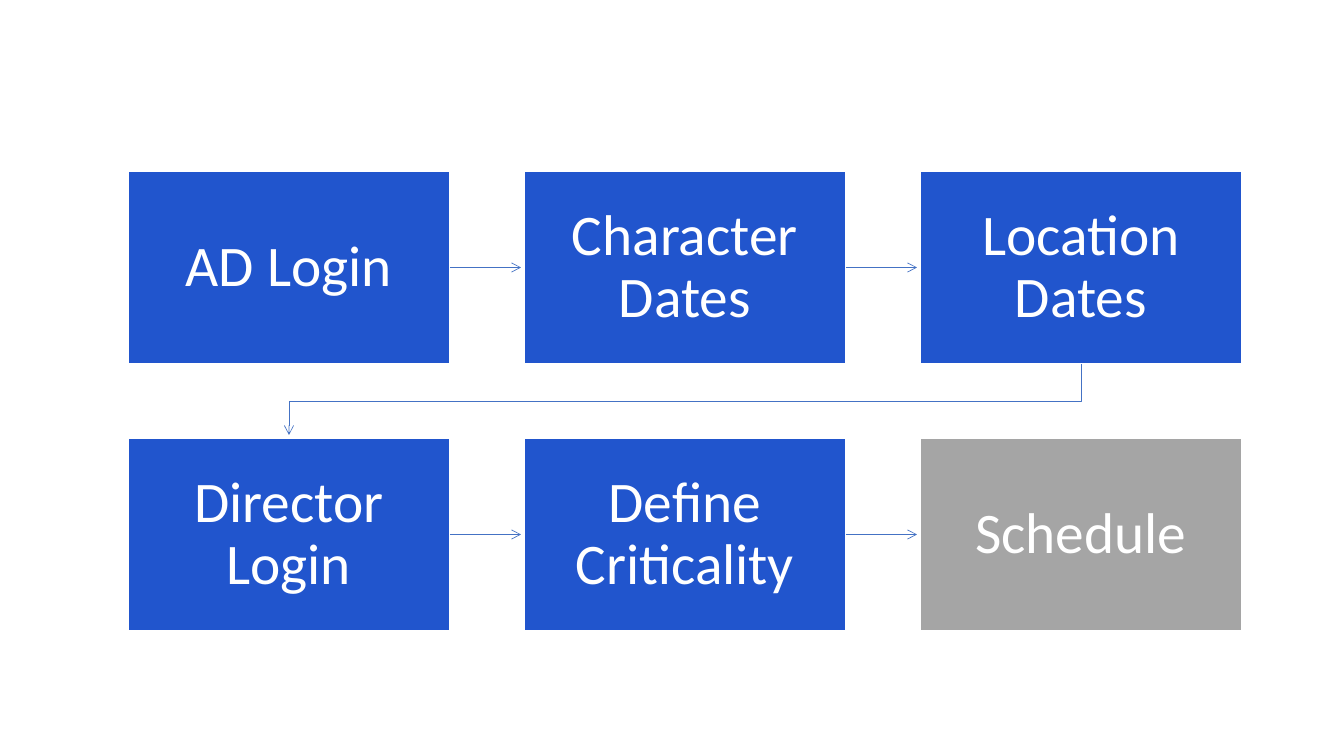
from lxml.etree import SubElement
from pptx import Presentation
from pptx.dml.color import RGBColor
from pptx.enum.shapes import MSO_CONNECTOR, MSO_SHAPE
from pptx.enum.text import MSO_ANCHOR, PP_ALIGN
from pptx.oxml.ns import qn
from pptx.util import Pt

SCALE = 914400 / 100.8  # EMU per px


def px(n):
    return round(n * SCALE)


def style_arrow(arrow):
    """Give a thin blue line an open arrowhead at its end and no shadow."""
    arrow.line.color.rgb = RGBColor.from_string("4472C4")
    arrow.line.width = Pt(0.5)
    SubElement(arrow.line._get_or_add_ln(), qn("a:tailEnd"), type="arrow")
    SubElement(arrow._element.spPr, qn("a:effectLst"))


LEFT, TOP = 128, 171
BOX_W, BOX_H = 322, 193
STEP_X, STEP_Y = 396, 267
ARROW = 71  # shorter than the gap between boxes
BLUE, GRAY = "2155CD", "A5A5A5"

steps = [
    [("AD Login", BLUE), ("Character Dates", BLUE), ("Location Dates", BLUE)],
    [("Director Login", BLUE), ("Define Criticality", BLUE), ("Schedule", GRAY)],
]

prs = Presentation()
prs.slide_width, prs.slide_height = px(1344), px(756)
s = prs.slides.add_slide(prs.slide_layouts[6])

for row, names in enumerate(steps):
    y = TOP + row * STEP_Y
    for col, (name, color) in enumerate(names):
        x = LEFT + col * STEP_X
        box = s.shapes.add_shape(MSO_SHAPE.RECTANGLE, px(x), px(y), px(BOX_W), px(BOX_H))
        box.shadow.inherit = False
        box.fill.solid()
        box.fill.fore_color.rgb = RGBColor.from_string(color)
        box.line.color.rgb = RGBColor.from_string("FFFFFF")
        box.line.width = Pt(1)

        tf = box.text_frame
        tf.word_wrap = True
        tf.vertical_anchor = MSO_ANCHOR.MIDDLE
        tf.margin_left = tf.margin_right = tf.margin_top = tf.margin_bottom = px(32)
        p = tf.paragraphs[0]
        p.alignment = PP_ALIGN.CENTER
        p.line_spacing = 0.9
        r = p.add_run()
        r.text = name
        r.font.name = "Calibri"
        r.font.size = Pt(41)
        r.font.color.rgb = RGBColor.from_string("FFFFFF")

        if col < len(names) - 1:
            start, mid = x + BOX_W, y + BOX_H / 2
            style_arrow(s.shapes.add_connector(
                MSO_CONNECTOR.STRAIGHT, px(start), px(mid), px(start + ARROW), px(mid)))

# The last step of the first row leads down to the first step of the second.
first_x = LEFT + BOX_W / 2
last_x = first_x + 2 * STEP_X
bottom = TOP + BOX_H
turn = bottom + (STEP_Y - BOX_H) / 2
route = [(last_x, turn), (first_x, turn), (first_x, bottom + ARROW)]
fb = s.shapes.build_freeform(px(last_x), px(bottom))
fb.add_line_segments([(px(x), px(y)) for x, y in route], close=False)
return_arrow = fb.convert_to_shape()
return_arrow.fill.background()
style_arrow(return_arrow)

prs.save("out.pptx")
